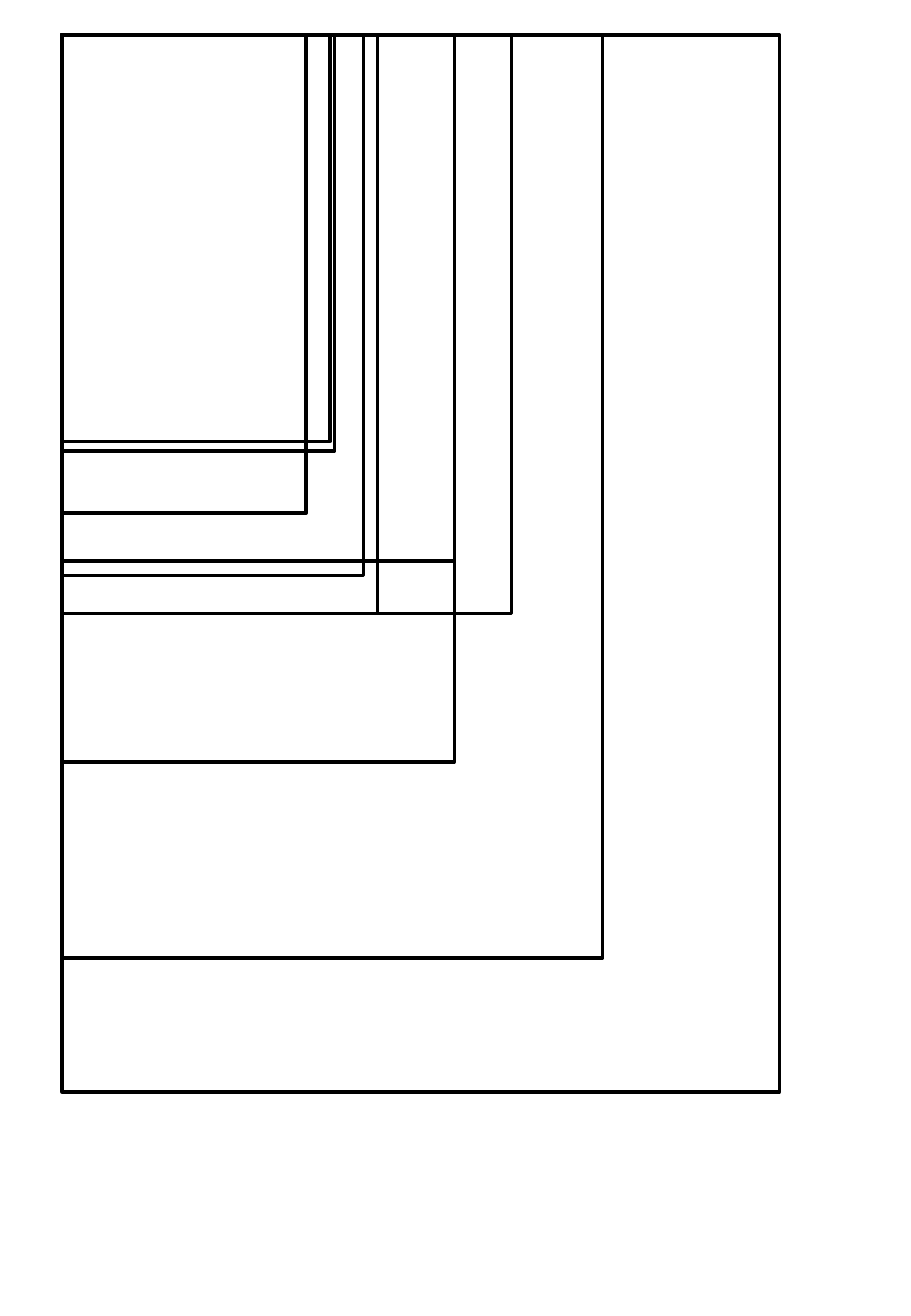
from typing import NamedTuple

from pptx import Presentation
from pptx.dml.color import RGBColor
from pptx.enum.shapes import MSO_SHAPE
from pptx.util import Cm, Pt

RECTANGLE = MSO_SHAPE.RECTANGLE
BLANK_LAYOUT = 6
LINE_COLOUR = "000000"
LINE_WIDTH = Pt(2)

# All frames share one top left corner
CORNER_LEFT, CORNER_TOP = Cm(1.3), Cm(0.73)


class Frame(NamedTuple):
    """Width and height in centimetres."""
    width: float
    height: float


# From back to front
FRAMES = [
    Frame(5.1, 10),
    Frame(6.3, 11.3),
    Frame(6.6, 12.1),
    Frame(8.2, 15.2),
    Frame(11.3, 19.3),
    Frame(15, 22.1),
    Frame(9.4, 12.1),
    Frame(5.7, 8.7),
    Frame(8.2, 11),
    Frame(5.6, 8.5),
]


def colour(value: str) -> RGBColor:
    return RGBColor.from_string(value)


def draw_frame(page, frame: Frame) -> None:
    box = page.shapes.add_shape(
        RECTANGLE, CORNER_LEFT, CORNER_TOP, Cm(frame.width), Cm(frame.height))
    box.shadow.inherit = False
    box.fill.background()
    box.line.color.rgb = colour(LINE_COLOUR)
    box.line.width = LINE_WIDTH


# Page
deck = Presentation()
deck.slide_width, deck.slide_height = Cm(19.05), Cm(27.51)
page = deck.slides.add_slide(deck.slide_layouts[BLANK_LAYOUT])

# Nested size frames
for frame in FRAMES:
    draw_frame(page, frame)

deck.save("out.pptx")
